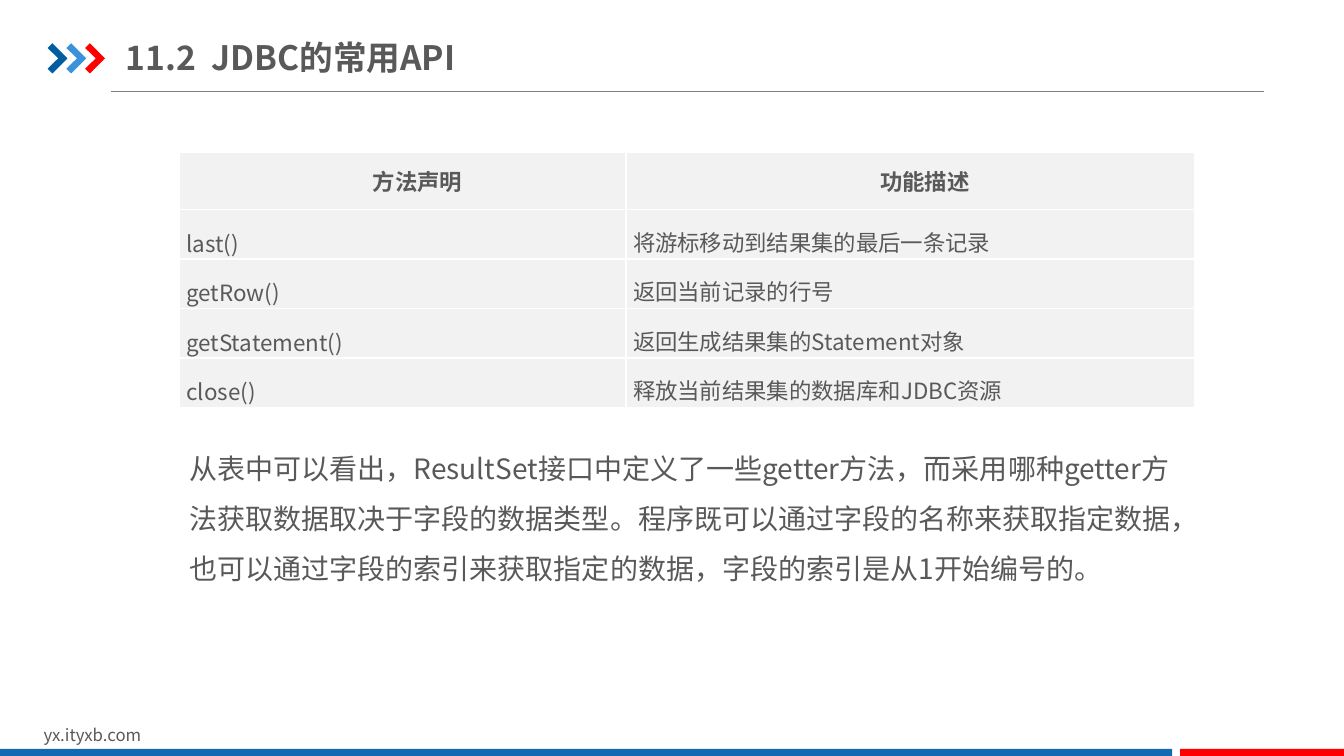
from lxml.etree import SubElement
from pptx import Presentation
from pptx.dml.color import RGBColor
from pptx.enum.shapes import MSO_CONNECTOR, MSO_SHAPE
from pptx.enum.text import MSO_ANCHOR as ANCHOR, PP_ALIGN as ALIGN
from pptx.oxml.ns import qn
from pptx.util import Pt

FONT = "Noto Sans CJK SC"
COLORS = {
    "text": "595959", "rule": "808080", "cell": "F2F2F2", "border": "FFFFFF",
    "navy": "005DA2", "sky": "3992DB", "red": "FF0000", "blue": "1369B2",
}


def paint(shape, color):
    shape.shadow.inherit = False
    shape.fill.solid()
    shape.fill.fore_color.rgb = RGBColor.from_string(COLORS[color])
    shape.line.fill.background()


def write(frame, text, size, bold=False, **layout):
    para = frame.paragraphs[0]
    for name, value in layout.items():
        setattr(para, name, value)
    span = para.add_run()
    span.text = text
    for name, value in {"size": Pt(size), "bold": bold, "name": FONT}.items():
        setattr(span.font, name, value)
    span.font.color.rgb = RGBColor.from_string(COLORS["text"])
    SubElement(span.font._element, qn("a:ea"), typeface=FONT)
    return para


deck = Presentation()
deck.slide_width, deck.slide_height = Pt(960), Pt(540)
page = deck.slides.add_slide(deck.slide_layouts[6])
shapes = page.shapes

rule = shapes.add_connector(MSO_CONNECTOR.STRAIGHT, Pt(79.3), Pt(65.4), Pt(903.2), Pt(65.4))
rule.line.color.rgb = RGBColor.from_string(COLORS["rule"])
rule.line.width = Pt(0.75)
SubElement(rule._element.spPr, qn("a:effectLst"))

chevron = [(0, 3.4), (3.4, 0), (14.2, 10.8), (3.4, 21.6), (0, 18.2), (7.6, 10.8)]
for index, color in enumerate(["navy", "sky", "red"]):
    left = 34 + 13.4 * index
    points = [(Pt(left + x), Pt(30.9 + y)) for x, y in chevron]
    builder = shapes.build_freeform(*points[0])
    builder.add_line_segments(points[1:], close=True)
    paint(builder.convert_to_shape(), color)

for left, width, color in [(0, 837.2, "blue"), (843, 117, "red")]:
    paint(shapes.add_shape(MSO_SHAPE.RECTANGLE, Pt(left), Pt(535), Pt(width), Pt(6)), color)

intro = (
    "从表中可以看出，ResultSet接口中定义了一些getter方法，而采用哪种getter方法"
    "获取数据取决于字段的数据类型。程序既可以通过字段的名称来获取指定数据，"
    "也可以通过字段的索引来获取指定的数据，字段的索引是从1开始编号的。"
)
boxes = [
    (24, 514, 229, 21.8, "yx.ityxb.com", 12, False, 7.2, ANCHOR.TOP, 1),
    (90, 21, 368, 39.6, "11.2  JDBC的常用API", 24, True, 0, ANCHOR.MIDDLE, 1),
    (128.2, 306.7, 725, 116, intro, 20, False, 7.2, ANCHOR.TOP, 1.5),
]
for left, top, width, height, text, size, bold, inset, anchor, spacing in boxes:
    frame = shapes.add_textbox(Pt(left), Pt(top), Pt(width), Pt(height)).text_frame
    frame.word_wrap = True
    frame.margin_left = frame.margin_right = Pt(inset)
    frame.vertical_anchor = anchor
    write(frame, text, size, bold, line_spacing=spacing)

methods = [
    ("方法声明", "功能描述"),
    ("last()", "将游标移动到结果集的最后一条记录"),
    ("getRow()", "返回当前记录的行号"),
    ("getStatement()", "返回生成结果集的Statement对象"),
    ("close()", "释放当前结果集的数据库和JDBC资源"),
]
table = shapes.add_table(len(methods), 2, Pt(128.2), Pt(108.9), Pt(725), Pt(182)).table
for column, width in zip(table.columns, [319, 406]):
    column.width = Pt(width)
for row, entries in enumerate(methods):
    table.rows[row].height = Pt(35.4 if row else 40.7)
    for column, text in enumerate(entries):
        cell = table.cell(row, column)
        layout = {
            "margin_left": Pt(5), "margin_right": Pt(5),
            "margin_top": 0, "margin_bottom": 0,
            "vertical_anchor": ANCHOR.TOP if row and column else ANCHOR.MIDDLE,
        }
        for name, value in layout.items():
            setattr(cell, name, value)
        for side in ["a:lnL", "a:lnR", "a:lnT", "a:lnB"]:
            edge = SubElement(cell._tc.get_or_add_tcPr(), qn(side), w=str(Pt(1)))
            SubElement(SubElement(edge, qn("a:solidFill")), qn("a:srgbClr"), val=COLORS["border"])
        cell.fill.solid()
        cell.fill.fore_color.rgb = RGBColor.from_string(COLORS["cell"])
        if row:
            write(cell.text_frame, text, 16, line_spacing=1.5)
        else:
            para = write(cell.text_frame, text, 16, True, alignment=ALIGN.CENTER)
            para._p.get_or_add_pPr().set("indent", str(Pt(21)))

deck.save("out.pptx")
